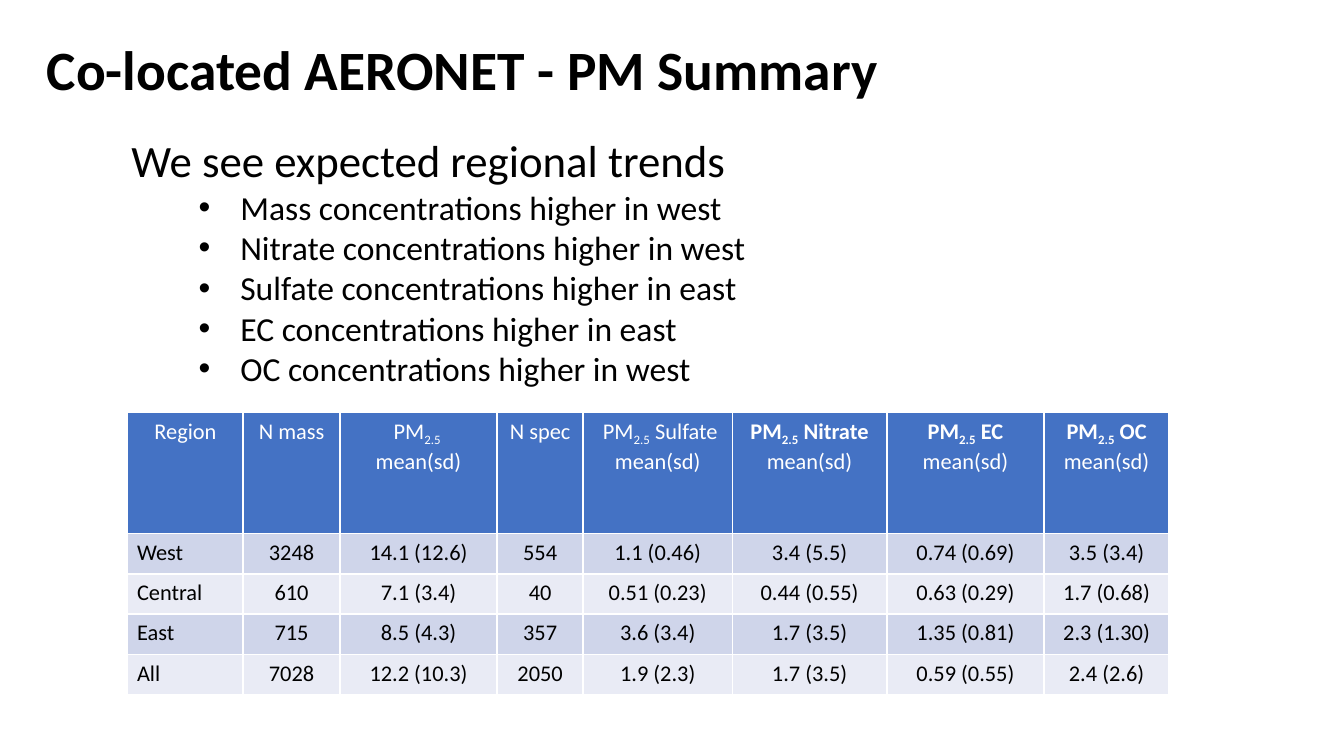
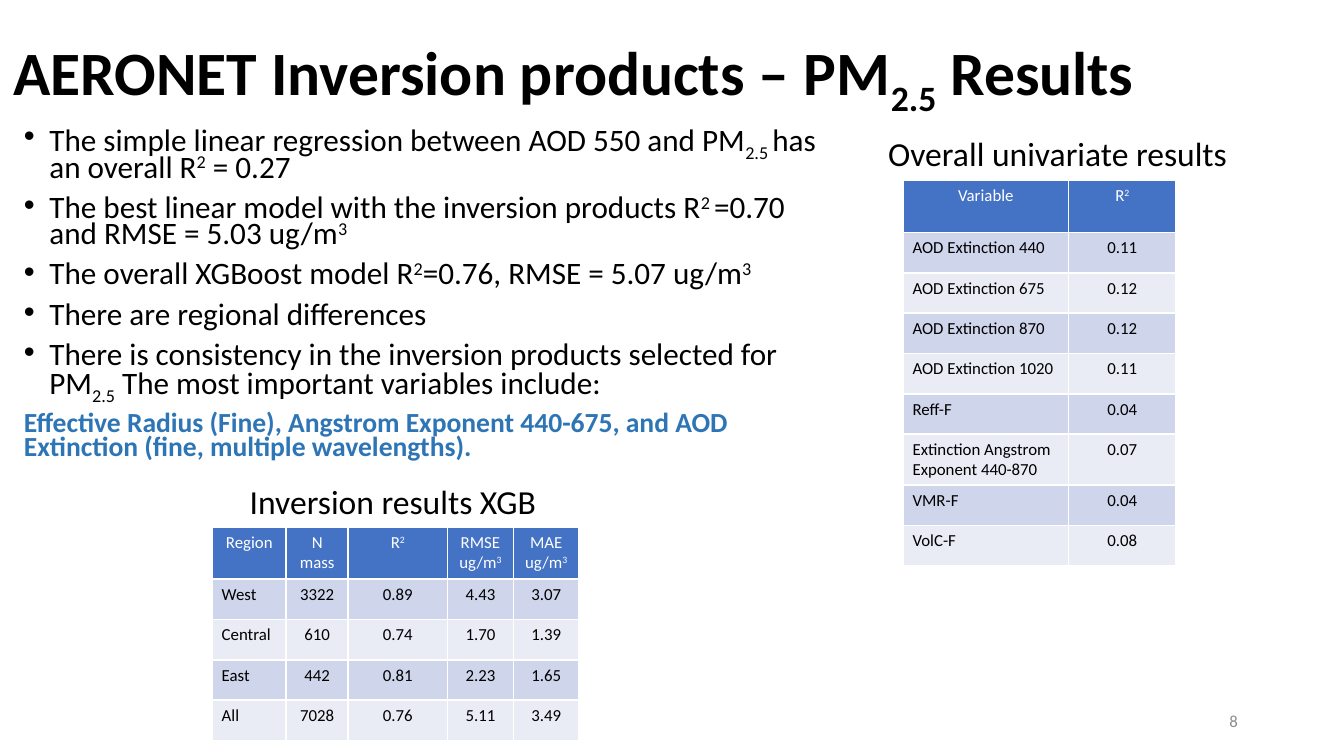
import pptx
import pptx.util
import pptx.dml.color
import pptx.enum.text
import pptx.oxml.ns
import lxml.etree

Inches = pptx.util.Inches
RGB = pptx.dml.color.RGBColor
ALIGN = pptx.enum.text.PP_ALIGN
ANCHOR = pptx.enum.text.MSO_ANCHOR
AUTO_SIZE = pptx.enum.text.MSO_AUTO_SIZE
qn = pptx.oxml.ns.qn

BLACK = RGB(0x00, 0x00, 0x00)
WHITE = RGB(0xFF, 0xFF, 0xFF)
GREY = RGB(0x8C, 0x8C, 0x8C)
ACCENT = RGB(0x2E, 0x75, 0xB6)
HEADER = RGB(0x44, 0x72, 0xC4)
BANDS = (RGB(0xCF, 0xD5, 0xEA), RGB(0xE9, 0xEB, 0xF5))

FONT = "Calibri"
WIDTH = Inches(10)
HEIGHT = WIDTH * 9 // 16
ROW = 0.3
BASELINES = {"_": "-25000", "^": "30000"}

TREND_TITLE = "Co-located AERONET - PM Summary"
TREND_LEAD = "We see expected regional trends"
TRENDS = [
    ("Mass", "west"),
    ("Nitrate", "west"),
    ("Sulfate", "east"),
    ("EC", "east"),
    ("OC", "west"),
]
SUMMARY = [
    ["Region", "N mass", "PM_2.5 _\nmean(sd)", "N spec",
     " PM_2.5_ Sulfate mean(sd)", "*PM_2.5_ Nitrate *mean(sd)",
     "*PM_2.5_ EC *mean(sd)", "*PM_2.5_ OC *mean(sd)"],
    ["West", "3248", "14.1 (12.6)", "554", "1.1 (0.46)", "3.4 (5.5)", "0.74 (0.69)", "3.5 (3.4)"],
    ["Central", "610", "7.1 (3.4)", "40", "0.51 (0.23)", "0.44 (0.55)", "0.63 (0.29)", "1.7 (0.68)"],
    ["East", "715", "8.5 (4.3)", "357", "3.6 (3.4)", "1.7 (3.5)", "1.35 (0.81)", "2.3 (1.30)"],
    ["All", "7028", "12.2 (10.3)", "2050", "1.9 (2.3)", "1.7 (3.5)", "0.59 (0.55)", "2.4 (2.6)"],
]

RESULT_TITLE = "AERONET Inversion products – PM_2.5_ Results"
FINDINGS = [
    "The simple linear regression between AOD 550 and PM_2.5 _has an overall R^2^ = 0.27",
    "The best linear model with the inversion products R^2 ^=0.70 and RMSE = 5.03 ug/m^3^",
    "The overall XGBoost model R^2^=0.76, RMSE = 5.07 ug/m^3^",
    "There are regional differences",
    "There is consistency in the inversion products selected for PM_2.5_ "
    "The most important variables include:",
]
KEY_VARIABLES = ("*Effective Radius (Fine), Angstrom Exponent 440-675, and AOD "
                 "Extinction (fine, multiple wavelengths).*")
XGB_CAPTION = "Inversion results XGB"
XGB = [
    ["Region", "N mass", "R^2^", "RMSE\nug/m^3^", "MAE\nug/m^3^"],
    ["West", "3322", "0.89", "4.43", "3.07"],
    ["Central", "610", "0.74", "1.70", "1.39"],
    ["East", "442", "0.81", "2.23", "1.65"],
    ["All", "7028", "0.76", "5.11", "3.49"],
]
UNIVARIATE_CAPTION = "Overall univariate results"
UNIVARIATE = [
    ["Variable", "R^2^"],
    ["AOD Extinction 440", "0.11"],
    ["AOD Extinction 675", "0.12"],
    ["AOD Extinction 870", "0.12"],
    ["AOD Extinction 1020", "0.11"],
    ["Reff-F", "0.04"],
    ["Extinction Angstrom Exponent 440-870", "0.07"],
    ["VMR-F", "0.04"],
    ["VolC-F", "0.08"],
]
PAGE_NUMBER = "8"


def split_spans(text):
    bold, shift, part = False, None, ""
    for letter in text:
        if letter not in "_^*":
            part += letter
            continue
        if part:
            yield part, bold, shift
        part = ""
        if letter == "*":
            bold = not bold
        else:
            shift = None if shift else BASELINES[letter]
    if part:
        yield part, bold, shift


def write(para, text, size, color=BLACK, align=None, spacing=None, before=None, indent=None):
    if align is not None:
        para.alignment = align
    if spacing:
        para.line_spacing = spacing
    if before:
        para.space_before = pptx.util.Pt(before)
    if indent:
        left, hanging = indent
        properties = para._p.get_or_add_pPr()
        properties.set("marL", str(Inches(left)))
        properties.set("indent", str(-Inches(hanging)))
        lxml.etree.SubElement(properties, qn("a:buFont")).set("typeface", "Arial")
        lxml.etree.SubElement(properties, qn("a:buChar")).set("char", "•")
    for part, bold, shift in split_spans(text):
        span = para.add_run()
        span.text = part
        span.font.name = FONT
        span.font.size = pptx.util.Pt(size)
        span.font.bold = bold
        span.font.color.rgb = color
        if shift:
            span.font._element.set("baseline", shift)


def write_all(frame, texts, size, **style):
    for text in texts:
        first = frame.paragraphs[0]
        write(frame.add_paragraph() if first.runs else first, text, size, **style)


def add_frame(page, place, anchor=ANCHOR.TOP, wrap=True, grow=False):
    frame = page.shapes.add_textbox(*map(Inches, place)).text_frame
    frame.word_wrap = wrap
    frame.vertical_anchor = anchor
    frame.auto_size = AUTO_SIZE.SHAPE_TO_FIT_TEXT if grow else AUTO_SIZE.NONE
    return frame


def add_title(page, place, text, size):
    write_all(add_frame(page, place, ANCHOR.MIDDLE), [f"*{text}*"], size, spacing=0.9)


def add_caption(page, place, text):
    write_all(add_frame(page, place, wrap=False, grow=True), [text], 18)


def add_border(cell, side):
    line = lxml.etree.SubElement(cell._tc.get_or_add_tcPr(), qn(f"a:ln{side}"))
    line.set("w", str(pptx.util.Pt(1)))
    fill = lxml.etree.SubElement(line, qn("a:solidFill"))
    lxml.etree.SubElement(fill, qn("a:srgbClr")).set("val", str(WHITE))


def add_grid(page, left, top, widths, heights, rows, size):
    table = page.shapes.add_table(
        len(rows), len(widths), Inches(left), Inches(top),
        Inches(sum(widths)), Inches(sum(heights))).table
    for column, width in zip(table.columns, widths):
        column.width = Inches(width)
    for line, height in zip(table.rows, heights):
        line.height = Inches(height)
    for r, texts in enumerate(rows):
        for c, text in enumerate(texts):
            cell = table.cell(r, c)
            cell.margin_left = cell.margin_right = Inches(0.07)
            cell.margin_top = cell.margin_bottom = Inches(0.04)
            for side in "LRTB":
                add_border(cell, side)
            cell.fill.solid()
            cell.fill.fore_color.rgb = BANDS[(r - 1) % 2] if r else HEADER
            write_all(cell.text_frame, text.split("\n"), size,
                      color=BLACK if r else WHITE,
                      align=ALIGN.LEFT if r and c == 0 else ALIGN.CENTER)


def build_trends(page):
    add_title(page, (0.25, 0.3, 7.35, 0.48), TREND_TITLE, 29.7)
    frame = add_frame(page, (0.88, 0.94, 8.18, 2.36), grow=True)
    write_all(frame, [TREND_LEAD], 24)
    write_all(frame, [f"{name} concentrations higher in {region}" for name, region in TRENDS],
              18, indent=(0.81, 0.31))
    add_grid(page, 0.95, 3.07, (0.86, 0.72, 1.17, 0.64, 1.11, 1.15, 1.17, 0.93),
             [0.9] + [ROW] * 4, SUMMARY, 12)


def build_results(page):
    add_title(page, (0, 0, 8.62, 1.09), RESULT_TITLE, 33)
    frame = add_frame(page, (0.08, 0.9, 6.2, 2.71))
    write_all(frame, FINDINGS, 16.7, spacing=0.7, before=7.5, indent=(0.19, 0.19))
    write_all(frame, [KEY_VARIABLES], 14.8, color=ACCENT, spacing=0.7, before=7.5)
    write_all(add_frame(page, (7.06, 5.21, 2.25, 0.3), ANCHOR.MIDDLE), [PAGE_NUMBER], 9,
              color=GREY, align=ALIGN.RIGHT)
    add_grid(page, 1.58, 3.92, (0.55, 0.46, 0.74, 0.49, 0.49), [0.39] + [ROW] * 4, XGB, 9)
    add_grid(page, 6.72, 1.34, (1.23, 0.8),
             [0.39] + [ROW] * 5 + [0.38] + [ROW] * 2, UNIVARIATE, 9)
    add_caption(page, (1.76, 3.53, 2.36, 0.4), XGB_CAPTION)
    add_caption(page, (6.51, 0.94, 2.75, 0.4), UNIVARIATE_CAPTION)


def main():
    deck = pptx.Presentation()
    deck.slide_width, deck.slide_height = WIDTH, HEIGHT
    for build in (build_trends, build_results):
        build(deck.slides.add_slide(deck.slide_layouts[6]))
    deck.save("out.pptx")


if __name__ == "__main__":
    main()
